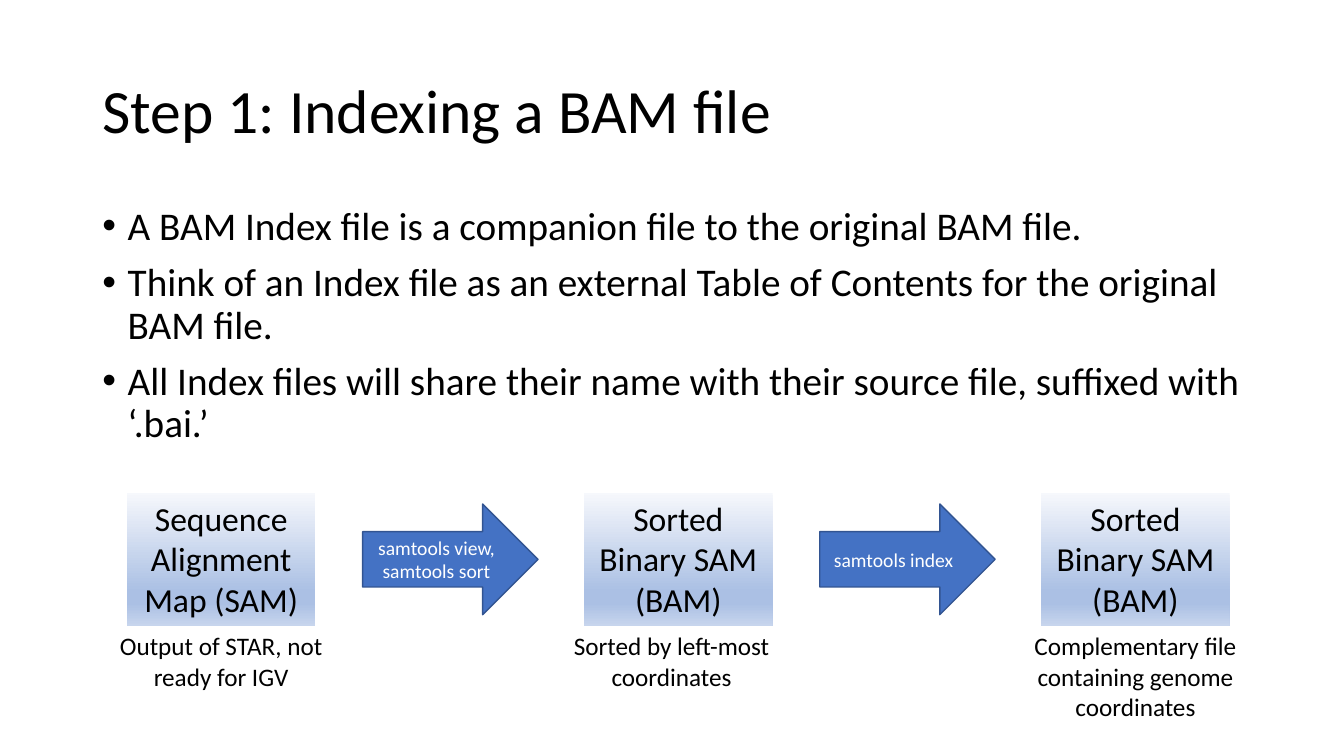
from pptx import Presentation
from pptx.util import Cm, Pt
from pptx.dml.color import RGBColor
from pptx.enum.shapes import MSO_SHAPE as Form
from pptx.enum.text import MSO_ANCHOR as Anchor, MSO_AUTO_SIZE as Fit, PP_ALIGN as Align
from pptx.oxml.ns import qn
from lxml.etree import SubElement

HUES = {
    "ink": "000000",
    "paper": "FFFFFF",
    "arrow": "4472C4",
    "edge": "325491",
    "pale": "F6F8FC",
    "mid": "ABC0E4",
    "soft": "C7D5ED",
}
STOPS = [(0, "pale"), (74, "mid"), (83, "mid"), (100, "soft")]


def color(name):
    return RGBColor.from_string(HUES[name])


class Deck:
    font = "Calibri"

    def __init__(self):
        self.show = Presentation()
        self.show.slide_width = Cm(33.87)
        self.show.slide_height = Cm(19.05)
        self.slide = self.show.slides.add_slide(self.show.slide_layouts[6])

    def letter(self, shape, text, size, hue="ink", align=Align.CENTER, anchor=Anchor.TOP):
        frame = shape.text_frame
        frame.word_wrap = True
        frame.vertical_anchor = anchor
        frame.text = text
        for para in frame.paragraphs:
            para.alignment = align
            for run in para.runs:
                run.font.name = self.font
                run.font.size = Pt(size)
                run.font.color.rgb = color(hue)
        return frame

    def label(self, area, text, size, **style):
        box = self.slide.shapes.add_textbox(*map(Cm, area))
        return self.letter(box, text, size, **style)

    def title(self, area, text):
        frame = self.label(area, text, 44, align=Align.LEFT, anchor=Anchor.MIDDLE)
        frame.paragraphs[0].line_spacing = 0.9

    def points(self, area, items):
        frame = self.label(area, "\n".join(items), 28, align=Align.LEFT)
        for para in frame.paragraphs:
            para.line_spacing = 0.9
            para.space_before = Pt(10)
            props = para._p.get_or_add_pPr()
            props.set("marL", str(Cm(0.64)))
            props.set("indent", str(-Cm(0.64)))
            SubElement(props, qn("a:buFont"), typeface="Arial")
            SubElement(props, qn("a:buChar"), char="•")

    def note(self, area, text):
        self.label(area, text, 18).auto_size = Fit.SHAPE_TO_FIT_TEXT

    def form(self, kind, area):
        shape = self.slide.shapes.add_shape(kind, *map(Cm, area))
        shape.shadow.inherit = False
        return shape

    def box(self, area, text):
        shape = self.form(Form.RECTANGLE, area)
        shape.line.fill.background()
        shape.fill.gradient()
        shape.fill.gradient_angle = 270
        stops = shape.element.spPr.find(qn("a:gradFill")).find(qn("a:gsLst"))
        stops.clear()
        for place, hue in STOPS:
            stop = SubElement(stops, qn("a:gs"), pos=str(place * 1000))
            SubElement(stop, qn("a:srgbClr"), val=HUES[hue])
        self.letter(shape, text, 24).auto_size = Fit.SHAPE_TO_FIT_TEXT

    def arrow(self, area, text):
        shape = self.form(Form.RIGHT_ARROW, area)
        shape.fill.solid()
        shape.fill.fore_color.rgb = color("arrow")
        shape.line.color.rgb = color("edge")
        shape.line.width = Pt(1)
        self.letter(shape, text, 14, hue="paper", anchor=Anchor.MIDDLE)


STEP = 11.52
STAGES = [
    ("Sequence Alignment Map (SAM)", "Output of STAR, not ready for IGV", 2.77, 1.8),
    ("Sorted Binary SAM (BAM)", "Sorted by left-most coordinates", 14.12, 1.8),
    ("Sorted Binary SAM (BAM)", "Complementary file containing genome coordinates", 25.81, 2.57),
]
TOOLS = ["samtools view, samtools sort", "samtools index"]


def main():
    deck = Deck()
    deck.title((2.33, 1.02, 29.21, 3.68), "Step 1: Indexing a BAM file")
    deck.points((2.33, 5.08, 29.21, 12.09), [
        "A BAM Index file is a companion file to the original BAM file.",
        "Think of an Index file as an external Table of Contents for the original BAM file.",
        "All Index files will share their name with their source file, suffixed with ‘.bai.’",
    ])
    for i, (name, hint, left, high) in enumerate(STAGES):
        deck.box((3.2 + i * STEP, 12.42, 4.75, 3.35), name)
        deck.note((left, 15.77, 5.61, high), hint)
    for i, tool in enumerate(TOOLS):
        deck.arrow((9.14 + i * STEP, 12.7, 4.42, 2.79), tool)
    deck.show.save("out.pptx")


if __name__ == "__main__":
    main()
